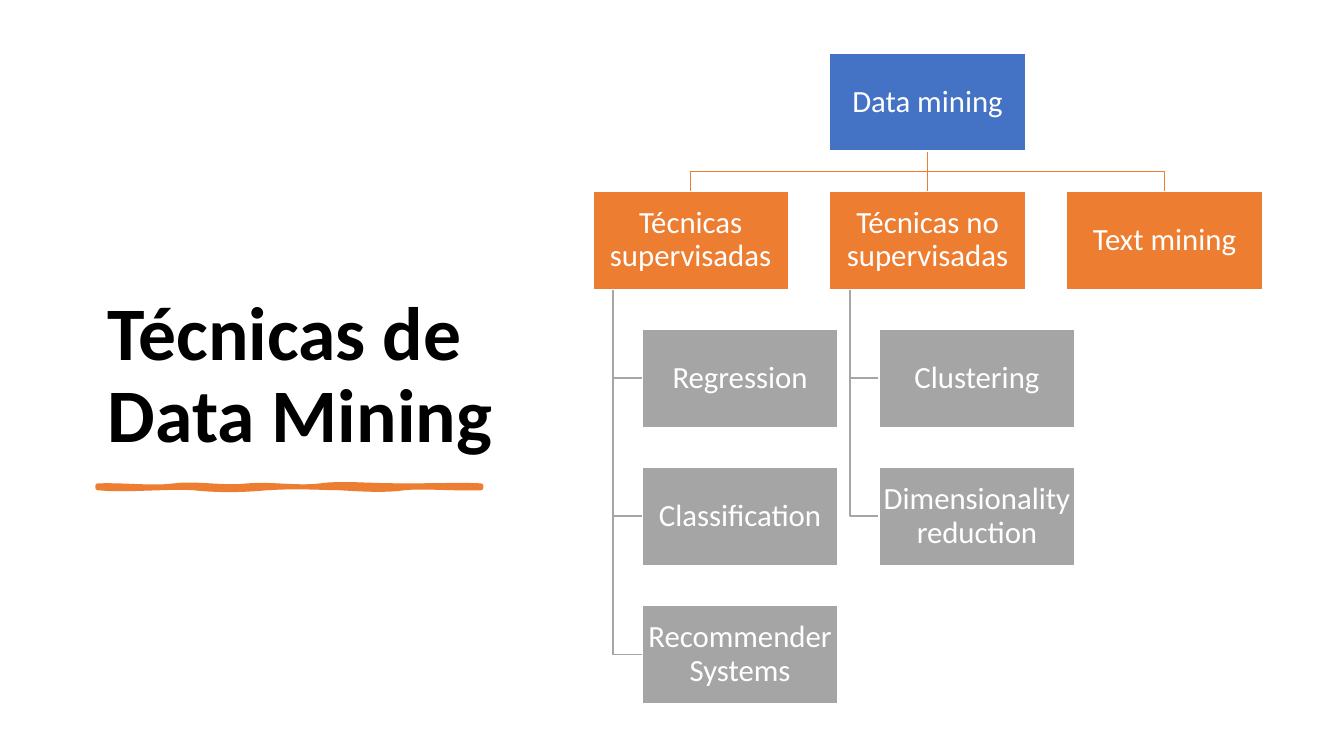
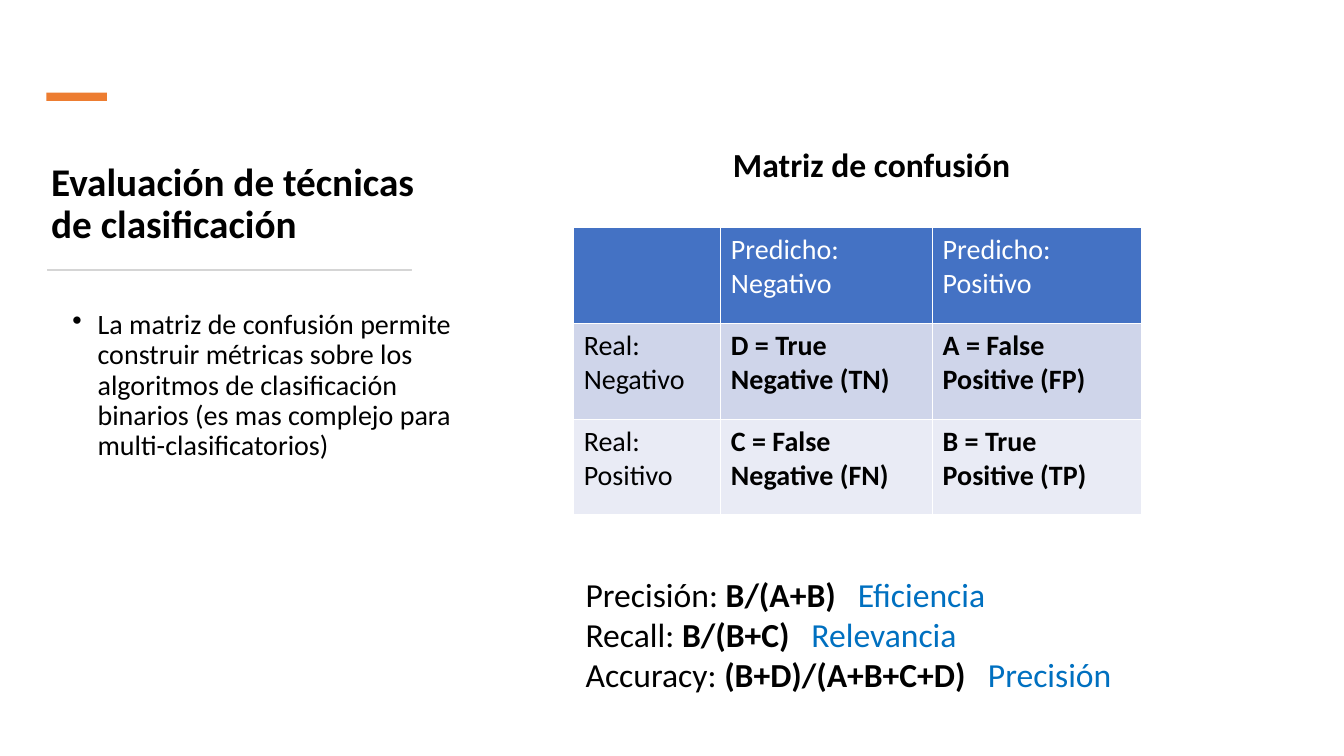
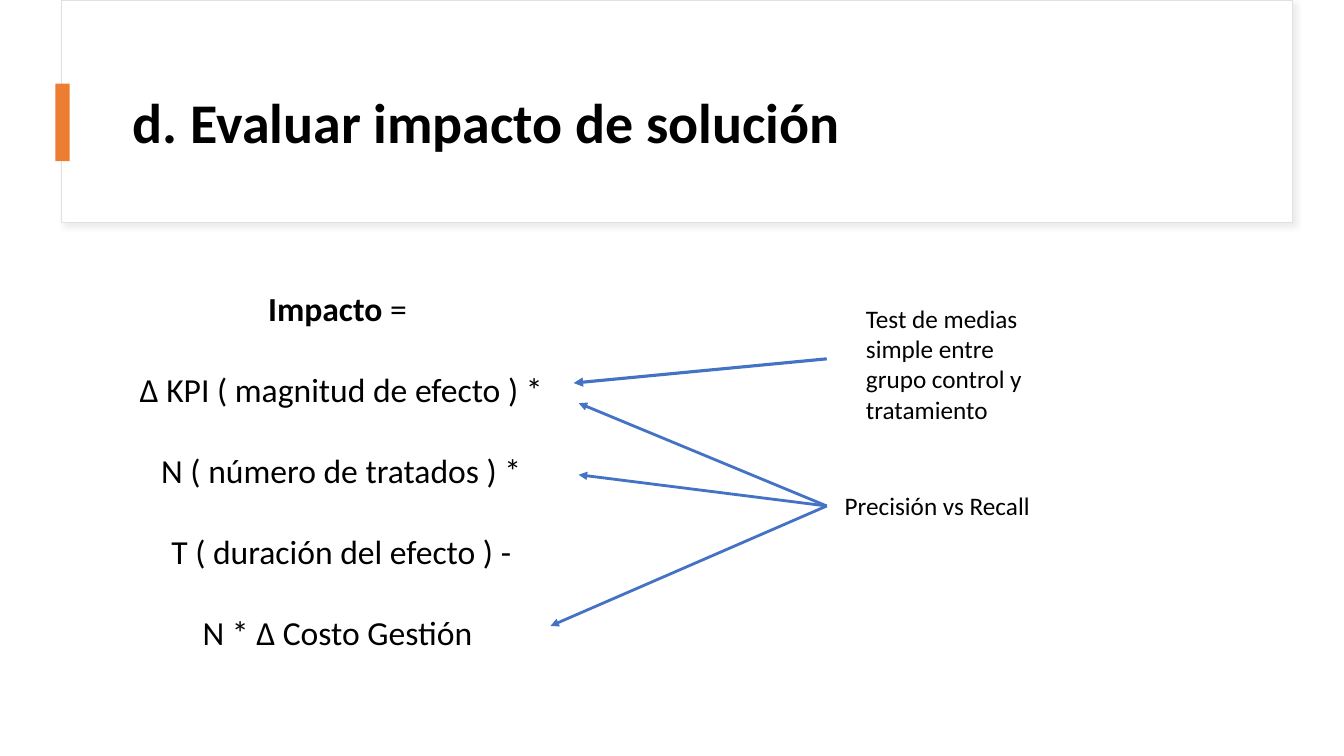
from dataclasses import dataclass

from lxml.etree import SubElement
from pptx import Presentation
from pptx.dml.color import RGBColor as Rgb
from pptx.enum.shapes import MSO_CONNECTOR as Connector, MSO_SHAPE as Preset
from pptx.enum.text import MSO_ANCHOR as Anchor, PP_ALIGN as Align
from pptx.oxml.ns import qn
from pptx.util import Pt

EMU_PER_PX = 9144  # 100 px to the inch


@dataclass(frozen=True)
class Theme:
    font: str = "Calibri"
    black: str = "000000"
    white: str = "FFFFFF"
    blue: str = "4472C4"
    orange: str = "ED7D31"
    gray: str = "A5A5A5"
    link: str = "0070C0"
    rule: str = "D5D5D5"
    frame: str = "E1E1E1"
    shadow: str = "D9D9D9"
    bands: tuple = ("CFD5EA", "E9EBF5")
    cover: int = 54
    heading: int = 40
    subheading: int = 28
    large: int = 24
    node: int = 22
    body: int = 20
    note: int = 18


THEME = Theme()


def px(length):
    return round(length * EMU_PER_PX)


def bezier(start, control_1, control_2, end, steps=8):
    """Points along a cubic curve, without its start."""
    for step in range(1, steps + 1):
        t = step / steps
        weights = ((1 - t) ** 3, 3 * t * (1 - t) ** 2, 3 * t * t * (1 - t), t ** 3)
        corners = (start, control_1, control_2, end)
        yield tuple(sum(w * c[axis] for w, c in zip(weights, corners)) for axis in (0, 1))


class Deck:
    def __init__(self, theme):
        self.theme = theme
        self.file = Presentation()
        self.file.slide_width, self.file.slide_height = px(1333), px(750)
        self.shapes = None

    def new_slide(self):
        self.shapes = self.file.slides.add_slide(self.file.slide_layouts[6]).shapes

    def set_text(self, frame, paragraphs, size, align=Align.LEFT, spacing=1.0, before=0,
                 color=None, bold=False, bullet=False, tabs=()):
        """Fill a frame; a paragraph is a string or a list of (text, bold, colour) runs."""
        for index, content in enumerate(paragraphs):
            paragraph = frame.paragraphs[0] if index == 0 else frame.add_paragraph()
            props = paragraph._p.get_or_add_pPr()
            if bullet:
                props.set("marL", str(px(25)))
                props.set("indent", str(px(-25)))
                SubElement(props, qn("a:buChar"), char="•")
            if tabs:
                stops = SubElement(props, qn("a:tabLst"))
                SubElement(stops, qn("a:tab"), pos=str(px(tabs[index])), algn="l")
            paragraph.alignment, paragraph.line_spacing = align, spacing
            if index and before:
                paragraph.space_before = Pt(before)
            runs = [(content, bold, color)] if isinstance(content, str) else content
            for words, strong, tint in runs:
                run = paragraph.add_run()
                run.text = words
                run.font.name, run.font.size, run.font.bold = self.theme.font, Pt(size), strong
                run.font.color.rgb = Rgb.from_string(tint or self.theme.black)

    def text(self, x, y, w, h, paragraphs, size, anchor=Anchor.TOP, wrap=True, **style):
        frame = self.shapes.add_textbox(px(x), px(y), px(w), px(h)).text_frame
        frame.word_wrap, frame.vertical_anchor = wrap, anchor
        self.set_text(frame, paragraphs, size, **style)

    def title(self, x, y, w, h, words, size, anchor=Anchor.BOTTOM):
        self.text(x, y, w, h, [words], size, anchor, spacing=0.9, bold=True)

    def paint(self, shape, fill=None, line=None, width=1.0):
        shape.shadow.inherit = False
        if fill:
            shape.fill.solid()
            shape.fill.fore_color.rgb = Rgb.from_string(fill)
        else:
            shape.fill.background()
        if line:
            shape.line.color.rgb = Rgb.from_string(line)
            shape.line.width = Pt(width)
        else:
            shape.line.fill.background()
        return shape

    def box(self, x, y, w, h, fill, line=None, width=1.0):
        shape = self.shapes.add_shape(Preset.RECTANGLE, px(x), px(y), px(w), px(h))
        return self.paint(shape, fill, line, width)

    def shadowed_box(self, x, y, w, h, fill, line, width):
        card = self.box(x, y, w, h, fill, line, width)
        effects = card.element.spPr.find(qn("a:effectLst"))
        shadow = SubElement(effects, qn("a:outerShdw"), blurRad=str(Pt(4)), dist=str(Pt(3)),
                            dir=str(45 * 60000), algn="tl", rotWithShape="0")
        tint = SubElement(shadow, qn("a:srgbClr"), val=self.theme.shadow)
        SubElement(tint, qn("a:alpha"), val="50000")

    def node(self, x, y, w, h, words, fill):
        frame = self.box(x, y, w, h, fill, self.theme.white).text_frame
        frame.word_wrap, frame.vertical_anchor = True, Anchor.MIDDLE
        frame.margin_left = frame.margin_right = frame.margin_top = frame.margin_bottom = px(2)
        self.set_text(frame, [words], self.theme.node, Align.CENTER, 0.9,
                      color=self.theme.white)

    def outline(self, points, line, width=1.0, fill=None):
        """Polyline through the points, closed when it has a fill."""
        start, *rest = [(px(x), px(y)) for x, y in points]
        builder = self.shapes.build_freeform(*start)
        builder.add_line_segments(rest, close=bool(fill))
        self.paint(builder.convert_to_shape(), fill, line, width)

    def line(self, start, end, color, width=1.0, arrow=False):
        connector = self.shapes.add_connector(Connector.STRAIGHT, *map(px, start + end))
        connector.line.color.rgb = Rgb.from_string(color)
        connector.line.width = Pt(width)
        props = connector.element.spPr
        if arrow:
            SubElement(props.get_or_add_ln(), qn("a:tailEnd"), type="triangle")
        SubElement(props, qn("a:effectLst"))

    def table(self, x, y, widths, row_height, rows):
        theme = self.theme
        grid = self.shapes.add_table(len(rows), len(widths), px(x), px(y), px(sum(widths)),
                                     px(row_height * len(rows))).table
        for column, width in zip(grid.columns, widths):
            column.width = px(width)
        for r, row in enumerate(rows):
            for c, words in enumerate(row):
                cell = grid.cell(r, c)
                cell.fill.solid()
                cell.fill.fore_color.rgb = Rgb.from_string(
                    theme.bands[(r - 1) % 2] if r else theme.blue)
                if words:
                    self.set_text(cell.text_frame, words.split("\n"), theme.body,
                                  color=None if r else theme.white, bold=r > 0 and c > 0)


def techniques_slide(deck):
    theme = deck.theme
    deck.new_slide()
    deck.title(97, 70, 408, 390, "Técnicas de Data Mining", theme.cover)

    stroke = [(97, 482)]
    for curve in (
        ((122, 481), (152, 485), (173, 482)), ((195, 479), (221, 485), (246, 482)),
        ((270, 480), (296, 485), (318, 482)), ((339, 479), (360, 482), (401, 482)),
        ((443, 482), (457, 481), (477, 482)), ((477, 483), (477, 483), (477, 484)),
        ((451, 485), (419, 482), (401, 484)), ((383, 487), (353, 485), (337, 484)),
        ((320, 484), (296, 482), (265, 484)), ((233, 487), (211, 486), (192, 484)),
        ((173, 482), (123, 487), (97, 484)),
    ):
        stroke.extend(bezier(stroke[-1], *curve))
    deck.outline(stroke, theme.orange, 3.5, theme.orange)

    left, top, column_step, row_step = 588, 53, 235, 137
    node_w, node_h, leaf_indent, spine_indent = 194, 97, 49, 20
    branches = {
        "Técnicas supervisadas": ["Regression", "Classification", "Recommender Systems"],
        "Técnicas no supervisadas": ["Clustering", "Dimensionality reduction"],
        "Text mining": [],
    }
    root_x = left + column_step
    root_center, root_bottom = root_x + node_w // 2, top + node_h
    branch_y = top + row_step
    fork_y = (root_bottom + branch_y) // 2
    for column, (branch, leaves) in enumerate(branches.items()):
        x = left + column * column_step
        center, spine = x + node_w // 2, x + spine_indent
        if center == root_center:
            deck.line((center, root_bottom), (center, branch_y), theme.orange)
        else:
            deck.outline([(root_center, root_bottom), (root_center, fork_y),
                          (center, fork_y), (center, branch_y)], theme.orange)
        for row, leaf in enumerate(leaves, 1):
            y = branch_y + row * row_step
            middle = y + node_h // 2
            deck.outline([(spine, branch_y + node_h), (spine, middle),
                          (x + leaf_indent, middle)], theme.gray)
            deck.node(x + leaf_indent, y, node_w, node_h, leaf, theme.gray)
        deck.node(x, branch_y, node_w, node_h, branch, theme.orange)
    deck.node(root_x, top, node_w, node_h, "Data mining", theme.blue)


def confusion_slide(deck):
    theme = deck.theme
    deck.new_slide()
    deck.title(41, 127, 393, 123, "Evaluación de técnicas de clasificación", theme.subheading)
    deck.box(46, 92, 60, 8, theme.orange)
    deck.box(47, 267, 361, 1, theme.rule, theme.rule, 0.25)
    deck.text(62, 303, 406, 412, [
        "La matriz de confusión permite construir métricas sobre los algoritmos de "
        "clasificación binarios (es mas complejo para multi-clasificatorios)"],
        theme.body, spacing=0.9, bullet=True)
    deck.text(681, 138, 367, 50, ["Matriz de confusión"], theme.large,
              align=Align.CENTER, bold=True)
    deck.table(569, 226, (146, 210, 207), 95, [
        ("", "Predicho:\nNegativo", "Predicho: Positivo"),
        ("Real: Negativo", "D = True Negative (TN)", "A = False Positive (FP)"),
        ("Real: Positivo", "C = False Negative (FN)", "B = True Positive (TP)"),
    ])
    metrics = [("Precisión: ", "B/(A+B)", "Eficiencia"),
               ("Recall: ", "B/(B+C)", "Relevancia"),
               ("Accuracy: ", "(B+D)/(A+B+C+D)", "Precisión")]
    deck.text(571, 564, 588, 131, [
        [(metric, False, None), (formula, True, None), ("\t" + meaning, False, theme.link)]
        for metric, formula, meaning in metrics], theme.large, tabs=(270, 224, 399))


def impact_slide(deck):
    theme = deck.theme
    deck.new_slide()
    deck.shadowed_box(61, 0, 1221, 221, theme.white, theme.frame, 0.75)
    deck.title(122, 60, 1112, 129, "d. Evaluar impacto de solución", theme.heading,
               Anchor.MIDDLE)
    deck.box(55, 83, 14, 77, theme.orange)
    deck.text(55, 281, 567, 374, [
        [("Impacto ", True, None), ("= ", False, None)],
        "∆ KPI ( magnitud de efecto ) *",
        "N ( número de tratados ) *",
        "T ( duración del efecto ) -",
        "N * ∆ Costo Gestión ",
    ], theme.large, align=Align.CENTER, before=29)
    deck.text(849, 296, 189, 131, ["Test de medias simple entre grupo control y tratamiento"],
              theme.note)
    deck.text(828, 482, 206, 40, ["Precisión vs Recall"], theme.note, wrap=False)
    deck.line((820, 356), (569, 380), theme.blue, 2.25, arrow=True)
    for factor in ((574, 400), (574, 471), (546, 621)):
        deck.line((820, 502), factor, theme.blue, 2, arrow=True)


def main():
    deck = Deck(THEME)
    techniques_slide(deck)
    confusion_slide(deck)
    impact_slide(deck)
    deck.file.save("out.pptx")


if __name__ == "__main__":
    main()
